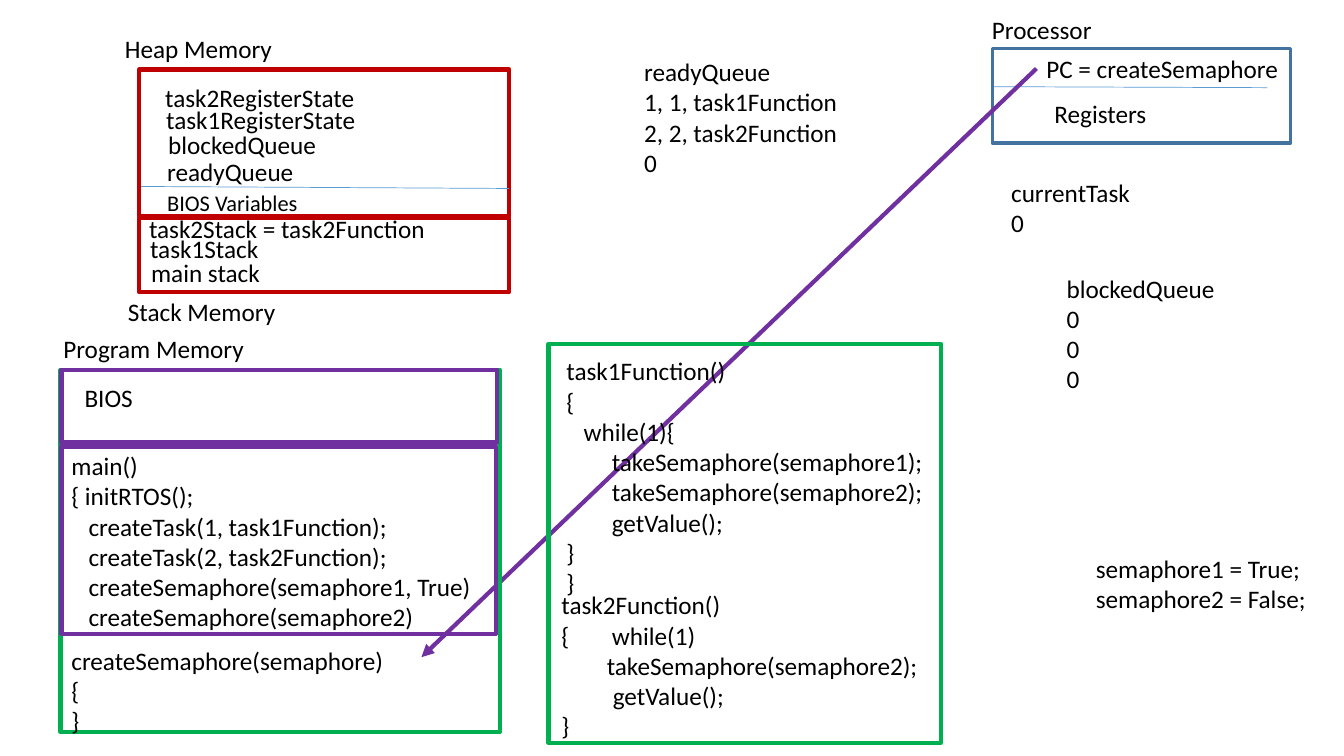
"""Draw the memory and register state of a small RTOS while it creates semaphores."""
from dataclasses import dataclass

from lxml import etree
from pptx import Presentation, util as u
from pptx.dml.color import RGBColor
from pptx.enum import shapes, text
from pptx.oxml import ns


@dataclass(frozen=True)
class Theme:
    font: str = "Calibri"
    body: float = 18
    small: float = 16
    ink: str = "000000"
    red: str = "C00000"
    green: str = "00B050"
    violet: str = "7030A0"
    navy: str = "43739E"
    blue: str = "5B9BD5"
    thick: float = 3
    frame: float = 2.25
    thin: float = 0.5


class Board:
    def __init__(self, slide, theme):
        self.slide, self.theme = slide, theme

    def stroke(self, line, hue, width):
        line.color.rgb = RGBColor.from_string(hue)
        line.width = u.Pt(width)

    def box(self, left, top, width, height, hue, weight=None):
        spot = map(u.Inches, (left, top, width, height))
        shape = self.slide.shapes.add_shape(shapes.MSO_SHAPE.RECTANGLE, *spot)
        shape.shadow.inherit = False
        shape.fill.background()
        self.stroke(shape.line, hue, weight or self.theme.thick)

    def line(self, start, end, hue, width, arrow=False):
        ends = map(u.Inches, (*start, *end))
        link = self.slide.shapes.add_connector(shapes.MSO_CONNECTOR.STRAIGHT, *ends)
        self.stroke(link.line, hue, width)
        if arrow:
            etree.SubElement(link.line._ln, ns.qn("a:tailEnd"), type="triangle")
        etree.SubElement(link._element.spPr, ns.qn("a:effectLst"))

    def label(self, left, top, width, height, words, size=None):
        spot = map(u.Inches, (left, top, width, height))
        frame = self.slide.shapes.add_textbox(*spot).text_frame
        frame.word_wrap = False
        frame.auto_size = text.MSO_AUTO_SIZE.SHAPE_TO_FIT_TEXT
        frame.text = words
        for para in frame.paragraphs:
            for run in para.runs:
                run.font.name = self.theme.font
                run.font.size = u.Pt(size or self.theme.body)
                run.font.color.rgb = RGBColor.from_string(self.theme.ink)
        return frame

    def code(self, left, top, width, height, rows, tab=0.25):
        frame = self.label(left, top, width, height, "\n".join(row for _, row in rows))
        for para, (indent, row) in zip(frame.paragraphs, rows):
            props = para._p.get_or_add_pPr()
            props.set("marL", str(u.Inches(indent)))
            props.set("indent", "0")
            if "\t" in row:
                stops = etree.SubElement(props, ns.qn("a:tabLst"))
                etree.SubElement(stops, ns.qn("a:tab"), pos=str(u.Inches(tab)), algn="l")


deck = Presentation()
deck.slide_width, deck.slide_height = u.Inches(13.33), u.Inches(7.5)
theme = Theme()
board = Board(deck.slides.add_slide(deck.slide_layouts[6]), theme)

board.box(1.38, 0.69, 3.67, 1.45, theme.red)
board.box(1.38, 2.16, 3.67, 0.74, theme.red)
board.box(9.84, 0.48, 2.96, 0.94, theme.navy, theme.frame)
board.line((9.86, 0.86), (12.57, 0.87), theme.blue, theme.thin)
board.line((1.4, 1.85), (5.05, 1.87), theme.blue, theme.thin)
board.line((10.28, 0.68), (4.18, 6.52), theme.violet, theme.thick, arrow=True)
board.box(0.6, 3.67, 4.36, 3.59, theme.green)
board.box(0.61, 3.67, 4.32, 0.72, theme.violet)
board.box(0.61, 4.43, 4.31, 1.86, theme.violet)
board.box(5.44, 3.41, 3.89, 3.96, theme.green)

for left, top, width, words in (
    (1.14, 0.28, 1.68, "Heap Memory"),
    (1.54, 0.77, 2.09, "task2RegisterState"),
    (1.55, 0.99, 2.09, "task1RegisterState"),
    (1.57, 1.23, 1.69, "blockedQueue"),
    (1.56, 1.5, 1.47, "readyQueue"),
    (1.38, 2.07, 2.96, "task2Stack = task2Function"),
    (1.39, 2.27, 1.28, "task1Stack"),
    (1.4, 2.5, 1.29, "main stack"),
    (1.17, 2.89, 1.68, "Stack Memory"),
    (0.53, 3.26, 2.01, "Program Memory"),
    (0.74, 3.74, 0.68, "BIOS"),
    (9.74, 0.09, 1.2, "Processor"),
    (10.28, 0.48, 2.53, "PC = createSemaphore"),
    (10.36, 0.93, 1.12, "Registers"),
):
    board.label(left, top, width, 0.4, words)
board.label(1.56, 1.83, 1.51, 0.37, "BIOS Variables", theme.small)

board.label(6.29, 0.51, 2.14, 1.31,
            "readyQueue\n1, 1, task1Function\n2, 2, task2Function\n0")
board.label(9.93, 1.71, 1.39, 0.71, "currentTask\n0")
board.label(10.48, 2.66, 1.69, 1.31, "blockedQueue\n0\n0\n0")
board.label(10.77, 5.44, 2.31, 0.71, "semaphore1 = True;\nsemaphore2 = False;")
board.label(0.61, 6.35, 3.33, 1.01, "createSemaphore(semaphore)\n{\n}")

step, deep = 0.17, 0.45
board.code(0.61, 4.42, 4.21, 1.92, (
    (0, "main()"),
    (0, "{ initRTOS();"),
    (step, "createTask(1, task1Function);"),
    (step, "createTask(2, task2Function);"),
    (step, "createSemaphore(semaphore1, True)"),
    (step, "createSemaphore(semaphore2)"),
))
board.code(5.52, 3.48, 3.84, 2.52, (
    (0, "task1Function()"),
    (0, "{"),
    (step, "while(1){"),
    (deep, "takeSemaphore(semaphore1);"),
    (deep, "takeSemaphore(semaphore2);"),
    (deep, "getValue();"),
    (0, "}"),
    (0, "}"),
))
board.code(5.47, 5.8, 3.78, 1.62, (
    (0, "task2Function()"),
    (0, "{\twhile(1)"),
    (deep, "takeSemaphore(semaphore2);"),
    (deep + 0.06, "getValue();"),
    (0, "}"),
))

deck.save("out.pptx")
